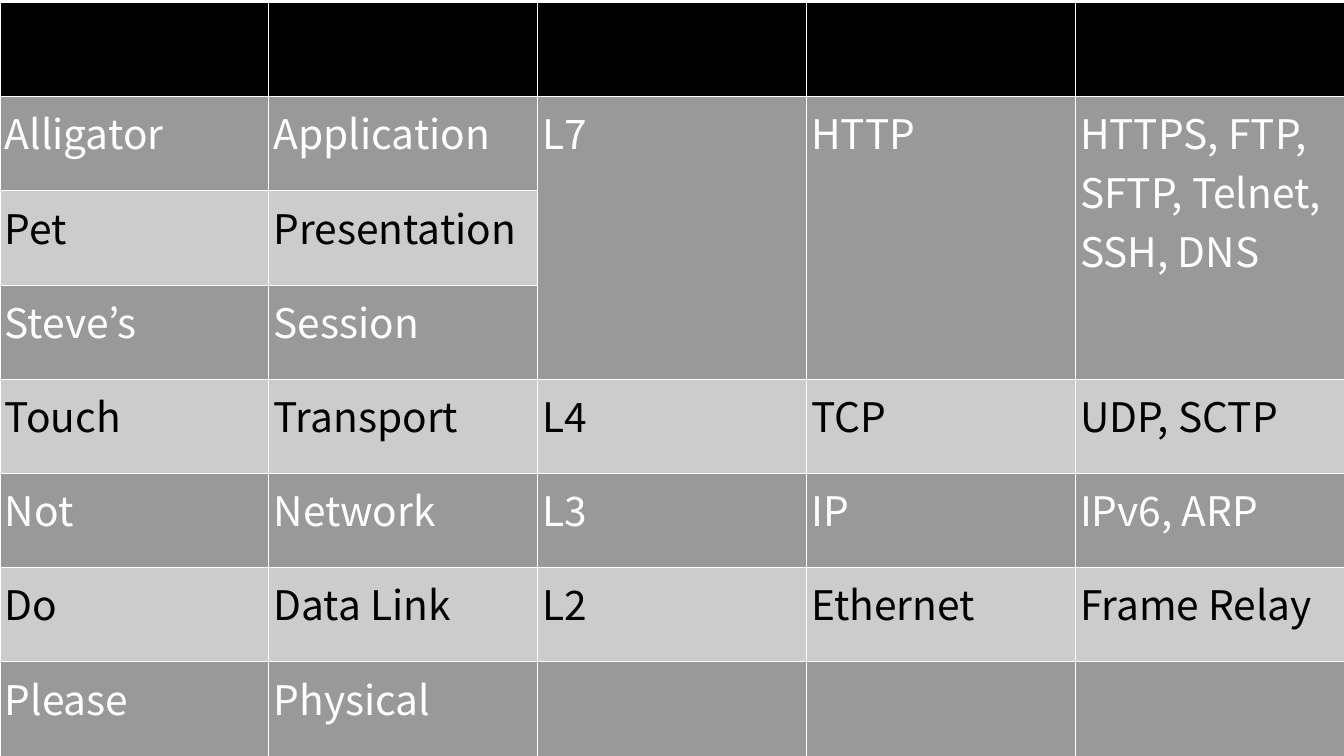
from lxml.etree import SubElement
from pptx import Presentation
from pptx.dml.color import RGBColor
from pptx.oxml.ns import qn
from pptx.util import Inches, Pt

# Content: mnemonic, OSI layer, short name, main protocol, other protocols
ROWS = [
    ("", "", "", "", ""),
    ("Alligator", "Application", "L7", "HTTP", "HTTPS, FTP, SFTP, Telnet, SSH, DNS"),
    ("Pet", "Presentation", "", "", ""),
    ("Steve’s", "Session", "", "", ""),
    ("Touch", "Transport", "L4", "TCP", "UDP, SCTP"),
    ("Not", "Network", "L3", "IP", "IPv6, ARP"),
    ("Do", "Data Link", "L2", "Ethernet", "Frame Relay"),
    ("Please", "Physical", "", "", ""),
]
MERGED_ROWS = (1, 3)
MERGED_COLS = (2, 3, 4)
FONT = "Noto Sans CJK KR"
WIDTH, HEIGHT, TOP = 11.02, 6.2, 0.02
HEADER = ("000000", "FFFFFF")
BANDS = [("CCCCCC", "000000"), ("999999", "FFFFFF")]


def rgb(value):
    return RGBColor.from_string(value)


def write(cell, text, size=24, color="000000", font=FONT):
    p = cell.text_frame.paragraphs[0]
    p.font.size = Pt(size)
    if text:
        r = p.add_run()
        r.text = text
        r.font.size = Pt(size)
        r.font.name = font
        r.font.color.rgb = rgb(color)


def add_borders(cell, color="FFFFFF", width=0.57):
    # Border lines come before the fill in the cell properties
    tc_pr = cell._tc.get_or_add_tcPr()
    for i, side in enumerate(("lnL", "lnR", "lnT", "lnB")):
        ln = SubElement(tc_pr, qn("a:" + side), w=str(Pt(width)))
        fill = SubElement(ln, qn("a:solidFill"))
        SubElement(fill, qn("a:srgbClr"), val=color)
        tc_pr.insert(i, ln)


prs = Presentation()
prs.slide_width, prs.slide_height = Inches(WIDTH), Inches(HEIGHT)
s = prs.slides.add_slide(prs.slide_layouts[6])

# Table over the whole slide, with equal rows and columns
table = s.shapes.add_table(len(ROWS), len(ROWS[0]), 0, Inches(TOP),
                           Inches(WIDTH), Inches(HEIGHT - TOP)).table

# Cells: black header, then alternating bands
for i, row in enumerate(ROWS):
    for j, text in enumerate(row):
        cell = table.cell(i, j)
        in_merge = j in MERGED_COLS and MERGED_ROWS[0] <= i <= MERGED_ROWS[1]
        band = MERGED_ROWS[0] if in_merge else i
        fill, color = BANDS[band % 2] if i else HEADER
        cell.margin_left = cell.margin_right = Inches(0.04)
        cell.margin_top = cell.margin_bottom = Inches(0.05)
        cell.fill.solid()
        cell.fill.fore_color.rgb = rgb(fill)
        add_borders(cell)
        write(cell, text, color=color)

# The top three layers share one cell in the last columns
for j in MERGED_COLS:
    table.cell(MERGED_ROWS[0], j).merge(table.cell(MERGED_ROWS[1], j))

prs.save("out.pptx")
